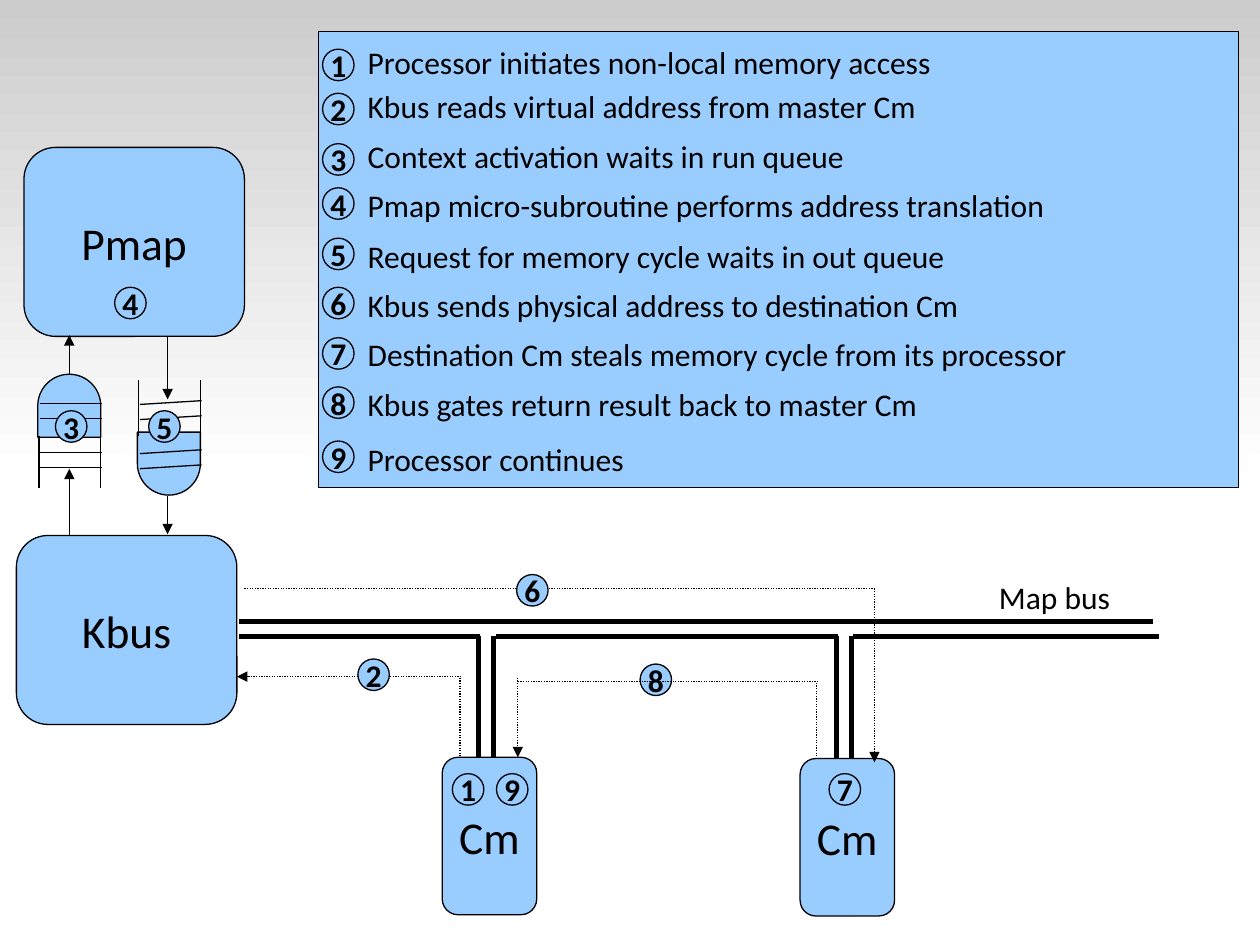
from dataclasses import dataclass

from lxml import etree
from pptx import Presentation
from pptx.dml.color import RGBColor
from pptx.enum import dml, shapes, text
from pptx.oxml import ns
from pptx.util import Inches, Pt


@dataclass(frozen=True)
class Theme:
    blue: RGBColor = RGBColor(0x99, 0xCC, 0xFF)
    black: RGBColor = RGBColor(0, 0, 0)
    white: RGBColor = RGBColor(255, 255, 255)
    grey: RGBColor = RGBColor(0xCC, 0xCC, 0xCC)
    font: str = "Calibri"
    node: int = 26
    body: int = 18
    thin: float = 0.75
    bus: float = 2.89


THEME = Theme()
KIND = shapes.MSO_SHAPE
BADGE = 0.25

STEPS = [
    (0.39, 0.29, "Processor initiates non-local memory access"),
    (0.74, 0.64, "Kbus reads virtual address from master Cm"),
    (1.14, 1.04, "Context activation waits in run queue"),
    (1.49, 1.43, "Pmap micro-subroutine performs address translation"),
    (1.89, 1.83, "Request for memory cycle waits in out queue"),
    (2.28, 2.22, "Kbus sends physical address to destination Cm"),
    (2.68, 2.61, "Destination Cm steals memory cycle from its processor"),
    (3.07, 3.01, "Kbus gates return result back to master Cm"),
    (3.50, 3.44, "Processor continues"),
]
NODES = [
    ("Kbus", 0.13, 4.25, 1.75, 1.5),
    ("Pmap", 0.19, 1.17, 1.75, 1.5),
    ("Cm", 3.51, 6.01, 0.75, 1.25),
    ("Cm", 6.35, 6.02, 0.75, 1.25),
]
BADGES = [
    (1, 3.59, 6.14), (9, 3.94, 6.14), (7, 6.58, 6.14), (2, 2.84, 5.23),
    (3, 0.44, 3.26), (5, 1.18, 3.26), (4, 0.91, 2.28), (6, 4.10, 4.56),
]
BUS_LINES = [
    (1.9, 4.93, 9.15, 4.93),
    (1.9, 5.05, 3.81, 5.05), (3.94, 5.05, 6.65, 5.05), (6.77, 5.05, 9.2, 5.05),
]
BUS_DROPS = [3.8, 3.92, 6.64, 6.76]
QUEUE_ARROWS = [
    (0.55, 4.25, 0.55, 3.72), (0.55, 2.97, 0.55, 2.66),
    (1.33, 2.67, 1.33, 3.17), (1.33, 3.94, 1.33, 4.24),
]
ROUTE_LINES = [
    (3.65, 5.38, 3.65, 6.0), (1.94, 4.67, 6.94, 4.67),
    (4.11, 5.41, 6.5, 5.41), (6.48, 5.42, 6.48, 6.0),
]
ROUTE_ARROWS = [
    (3.66, 5.37, 1.88, 5.37), (6.94, 4.67, 6.94, 6.05), (4.11, 5.38, 4.11, 6.01),
]


def write(shape, words, size, bold=False, align=text.PP_ALIGN.CENTER,
          anchor=text.MSO_ANCHOR.MIDDLE, wrap=False):
    frame = shape.text_frame
    frame.word_wrap = wrap
    frame.vertical_anchor = anchor
    para = frame.paragraphs[0]
    para.alignment = align
    span = para.add_run()
    span.text = words
    for name, value in {"name": THEME.font, "size": Pt(size), "bold": bold}.items():
        setattr(span.font, name, value)
    span.font.color.rgb = THEME.black


def add_block(page, kind, left, top, width, height):
    block = page.shapes.add_shape(kind, *map(Inches, (left, top, width, height)))
    block.shadow.inherit = False
    block.fill.solid()
    block.fill.fore_color.rgb = THEME.blue
    block.line.color.rgb = THEME.black
    block.line.width = Pt(THEME.thin)
    return block


def add_backdrop(page):
    band = add_block(page, KIND.RECTANGLE, 0, 0, 10, 3.75)
    band.line.fill.background()
    band.fill.gradient()
    band.fill.gradient_angle = 270
    for stop, colour in zip(band.fill.gradient_stops, (THEME.grey, THEME.white)):
        stop.color.rgb = colour


def add_node(page, name, left, top, width, height):
    node = add_block(page, KIND.ROUNDED_RECTANGLE, left, top, width, height)
    node.adjustments[0] = 0.167
    write(node, name, THEME.node)


def add_badge(page, number, left, top):
    badge = add_block(page, KIND.OVAL, left, top, BADGE, BADGE)
    write(badge, str(number), THEME.body, bold=True)


def add_label(page, words, left, top, width):
    box = page.shapes.add_textbox(*map(Inches, (left, top, width, 0.4)))
    write(box, words, THEME.body, align=text.PP_ALIGN.LEFT,
          anchor=text.MSO_ANCHOR.TOP, wrap=True)


def add_line(page, ends, width=THEME.thin, dotted=False, arrow=False):
    line = page.shapes.add_connector(shapes.MSO_CONNECTOR.STRAIGHT, *map(Inches, ends))
    line.line.color.rgb = THEME.black
    line.line.width = Pt(width)
    if dotted:
        line.line.dash_style = dml.MSO_LINE.ROUND_DOT
    if arrow:
        etree.SubElement(line.get_or_add_ln(), ns.qn("a:tailEnd"), type="triangle")
    etree.SubElement(line._element.spPr, ns.qn("a:effectLst"))


def add_queue(page, left, top, turn, wall_top, wall_bottom, rungs, slope):
    end = add_block(page, KIND.FLOWCHART_DELAY, left, top, 0.5, 0.5)
    end.rotation = turn
    for x in (left + 0.01, left + 0.5):
        add_line(page, (x, wall_top, x, wall_bottom))
    for y in rungs:
        add_line(page, (left + 0.02, y, left + 0.51, y - slope))


def add_legend(page):
    add_block(page, KIND.RECTANGLE, 2.53, 0.25, 7.3, 3.62)
    for number, (badge_top, label_top, words) in enumerate(STEPS, 1):
        add_badge(page, number, 2.56, badge_top)
        add_label(page, words, 2.82, label_top, 7)


def add_bus(page):
    for ends in BUS_LINES:
        add_line(page, ends, THEME.bus)
    for x in BUS_DROPS:
        add_line(page, (x, 5.05, x, 6.02), THEME.bus)
    add_label(page, "Map bus", 7.83, 4.54, 1.75)


def add_routes(page):
    add_badge(page, 8, 5.08, 5.27)
    for ends in ROUTE_LINES:
        add_line(page, ends, dotted=True)
    for ends in ROUTE_ARROWS:
        add_line(page, ends, dotted=True, arrow=True)


def main():
    deck = Presentation()
    deck.slide_width, deck.slide_height = Inches(10), Inches(7.5)
    page = deck.slides.add_slide(deck.slide_layouts[6])
    add_backdrop(page)
    add_legend(page)
    for node in NODES:
        add_node(page, *node)
    add_queue(page, 0.3, 2.97, 270, 3.46, 3.87, (3.2, 3.32, 3.59, 3.71), 0)
    add_queue(page, 1.09, 3.43, 90, 3.02, 3.46, (3.21, 3.33, 3.6, 3.72), 0.03)
    for ends in QUEUE_ARROWS:
        add_line(page, ends, arrow=True)
    add_bus(page)
    add_routes(page)
    for badge in BADGES:
        add_badge(page, *badge)
    deck.save("out.pptx")


if __name__ == "__main__":
    main()
